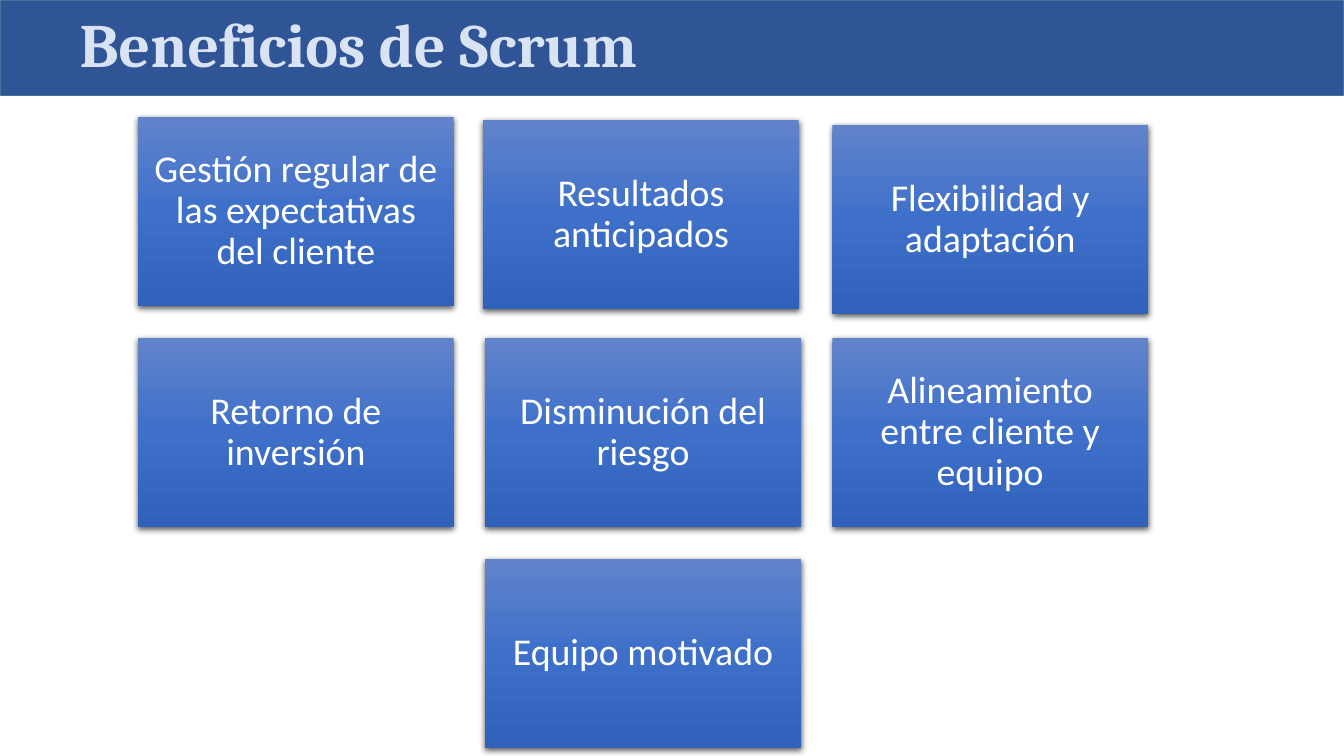
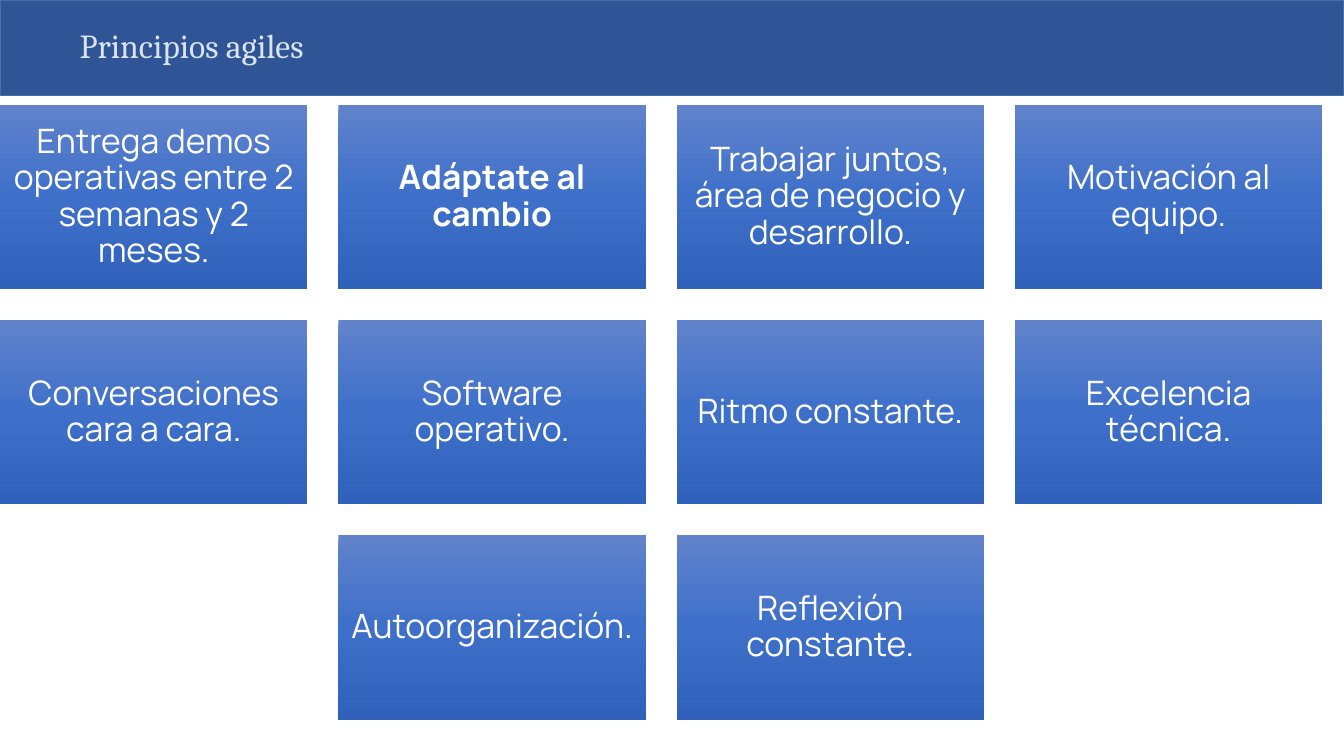
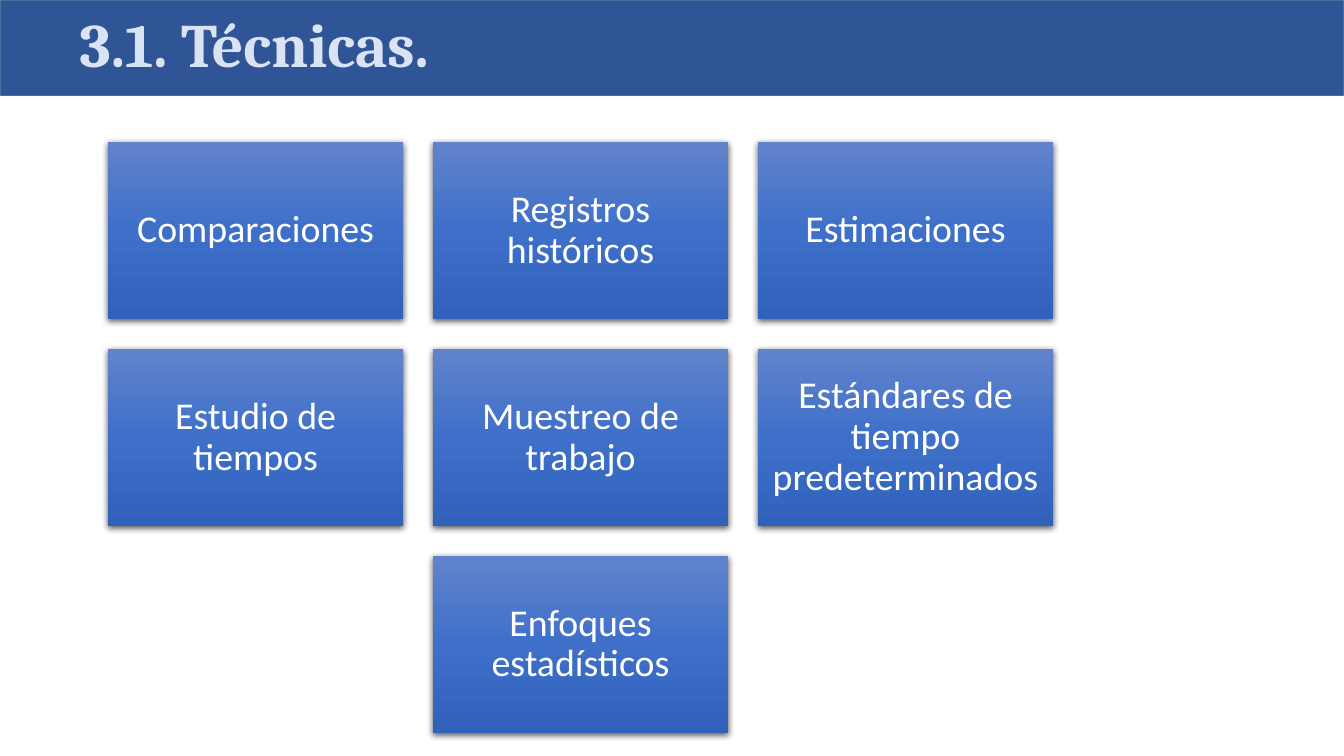
from copy import deepcopy
from dataclasses import dataclass

from lxml.etree import SubElement
from pptx import Presentation
from pptx.dml.color import RGBColor
from pptx.enum.shapes import MSO_SHAPE
from pptx.enum.text import MSO_ANCHOR, PP_ALIGN
from pptx.oxml.ns import qn
from pptx.util import Inches, Pt


@dataclass(frozen=True)
class Theme:
    band: str = "2F5597"
    band_line: str = "43739E"
    title: str = "DAE3F3"
    card_text: str = "FFFFFF"
    card_gradient: tuple = ((0, "6183CB"), (0.5, "3E70CA"), (1, "3062BB"))
    shadow: str = "000000"
    title_font: str = "Cambria"
    title_size: int = 44
    small_title_size: int = 24
    card_font: str = "Calibri"
    card_size: int = 27
    plain_card_font: str = "Manrope"
    plain_card_size: int = 24


THEME = Theme()
SLIDE_WIDTH, SLIDE_HEIGHT, BAND_HEIGHT = 13.33, 7.5, 0.95
CARD_RATIO, GAP_RATIO = 0.6, 0.1


def add_rectangle(page, left, top, width, height):
    box = page.shapes.add_shape(
        MSO_SHAPE.RECTANGLE, Inches(left), Inches(top), Inches(width), Inches(height)
    )
    box.shadow.inherit = False
    return box


def write_text(box, text, color, insets, align, **font_values):
    """Fill a box with one paragraph; insets run left, top, right, bottom."""
    frame = box.text_frame
    frame.word_wrap = True
    frame.vertical_anchor = MSO_ANCHOR.MIDDLE
    for side, inset in zip(("left", "top", "right", "bottom"), insets):
        setattr(frame, f"margin_{side}", Inches(inset))
    para = frame.paragraphs[0]
    para.alignment = align
    para.line_spacing = 0.9
    span = para.add_run()
    span.text = text
    for name, value in font_values.items():
        setattr(span.font, name, value)
    span.font.color.rgb = RGBColor.from_string(color)


def add_title_band(page, text, size=THEME.title_size, bold=True):
    band = add_rectangle(page, 0, 0, SLIDE_WIDTH, BAND_HEIGHT)
    band.fill.solid()
    band.fill.fore_color.rgb = RGBColor.from_string(THEME.band)
    band.line.color.rgb = RGBColor.from_string(THEME.band_line)
    band.line.width = Pt(1)
    write_text(band, text, THEME.title, (0.79, 0.05, 0.1, 0.05), PP_ALIGN.LEFT,
               name=THEME.title_font, size=Pt(size), bold=bold)


def fill_gradient(box):
    """Apply the three-stop card gradient, from top to bottom."""
    box.fill.gradient()
    box.fill.gradient_angle = 270
    stop_list = box.element.spPr.find(".//" + qn("a:gsLst"))
    stop_list.insert(1, deepcopy(stop_list[0]))
    for stop, (position, color) in zip(box.fill.gradient_stops, THEME.card_gradient):
        stop.position = position
        stop.color.rgb = RGBColor.from_string(color)


def add_shadow(box):
    effects = box.element.spPr.find(qn("a:effectLst"))
    shadow = SubElement(effects, qn("a:outerShdw"), blurRad=str(Pt(4.5)),
                        dist=str(Pt(1.5)), dir="5400000", algn="ctr", rotWithShape="0")
    color = SubElement(shadow, qn("a:srgbClr"), val=THEME.shadow)
    SubElement(color, qn("a:alpha"), val="63000")


def add_card(page, text, left, top, width, inset, shadow, **font_values):
    card = add_rectangle(page, left, top, width, width * CARD_RATIO)
    fill_gradient(card)
    card.line.fill.background()
    if shadow:
        add_shadow(card)
    write_text(card, text, THEME.card_text, (inset,) * 4, PP_ALIGN.CENTER, **font_values)


def add_card_grid(page, rows, left, top, width, nudges=None, bold_text=None,
                  font=THEME.card_font, size=THEME.card_size, inset=0.11, shadow=True):
    """Lay out rows of cards, centring short rows; nudges maps text to an x, y shift."""
    gap = width * GAP_RATIO
    column_step = width + gap
    row_step = width * CARD_RATIO + gap
    columns = max(map(len, rows))
    for row, texts in enumerate(rows):
        indent = (columns - len(texts)) / 2
        for column, text in enumerate(texts):
            shift_x, shift_y = (nudges or {}).get(text, (0, 0))
            add_card(page, text,
                     left + (indent + column) * column_step + shift_x,
                     top + row * row_step + shift_y,
                     width, inset, shadow,
                     name=font, size=Pt(size), bold=text == bold_text)


def build_benefits(page):
    add_title_band(page, "Beneficios de Scrum")
    rows = (
        ("Gestión regular de las expectativas del cliente",
         "Resultados anticipados", "Flexibilidad y adaptación"),
        ("Retorno de inversión", "Disminución del riesgo",
         "Alineamiento entre cliente y equipo"),
        ("Equipo motivado",),
    )
    nudges = {"Resultados anticipados": (-0.02, 0.03),
              "Flexibilidad y adaptación": (0, 0.08)}
    add_card_grid(page, rows, 1.37, 1.16, 3.13, nudges)


def build_principles(page):
    add_title_band(page, "Principios agiles", THEME.small_title_size, bold=False)
    rows = (
        ("Entrega demos operativas entre 2 semanas y 2 meses.", "Adáptate al cambio",
         "Trabajar juntos, área de negocio y desarrollo.", "Motivación al equipo."),
        ("Conversaciones cara a cara.", "Software operativo.",
         "Ritmo constante.", "Excelencia técnica."),
        ("Autoorganización.", "Reflexión constante."),
    )
    add_card_grid(page, rows, 0, 1.04, 3.05, bold_text="Adáptate al cambio",
                  font=THEME.plain_card_font, size=THEME.plain_card_size,
                  inset=0.1, shadow=False)


def build_techniques(page):
    add_title_band(page, "3.1. Técnicas.")
    rows = (
        ("Comparaciones", "Registros históricos", "Estimaciones"),
        ("Estudio de tiempos", "Muestreo de trabajo",
         "Estándares de tiempo predeterminados"),
        ("Enfoques estadísticos",),
    )
    add_card_grid(page, rows, 1.07, 1.41, 2.93)


def main():
    deck = Presentation()
    deck.slide_width, deck.slide_height = Inches(SLIDE_WIDTH), Inches(SLIDE_HEIGHT)
    for build in (build_benefits, build_principles, build_techniques):
        build(deck.slides.add_slide(deck.slide_layouts[6]))
    deck.save("out.pptx")


if __name__ == "__main__":
    main()
